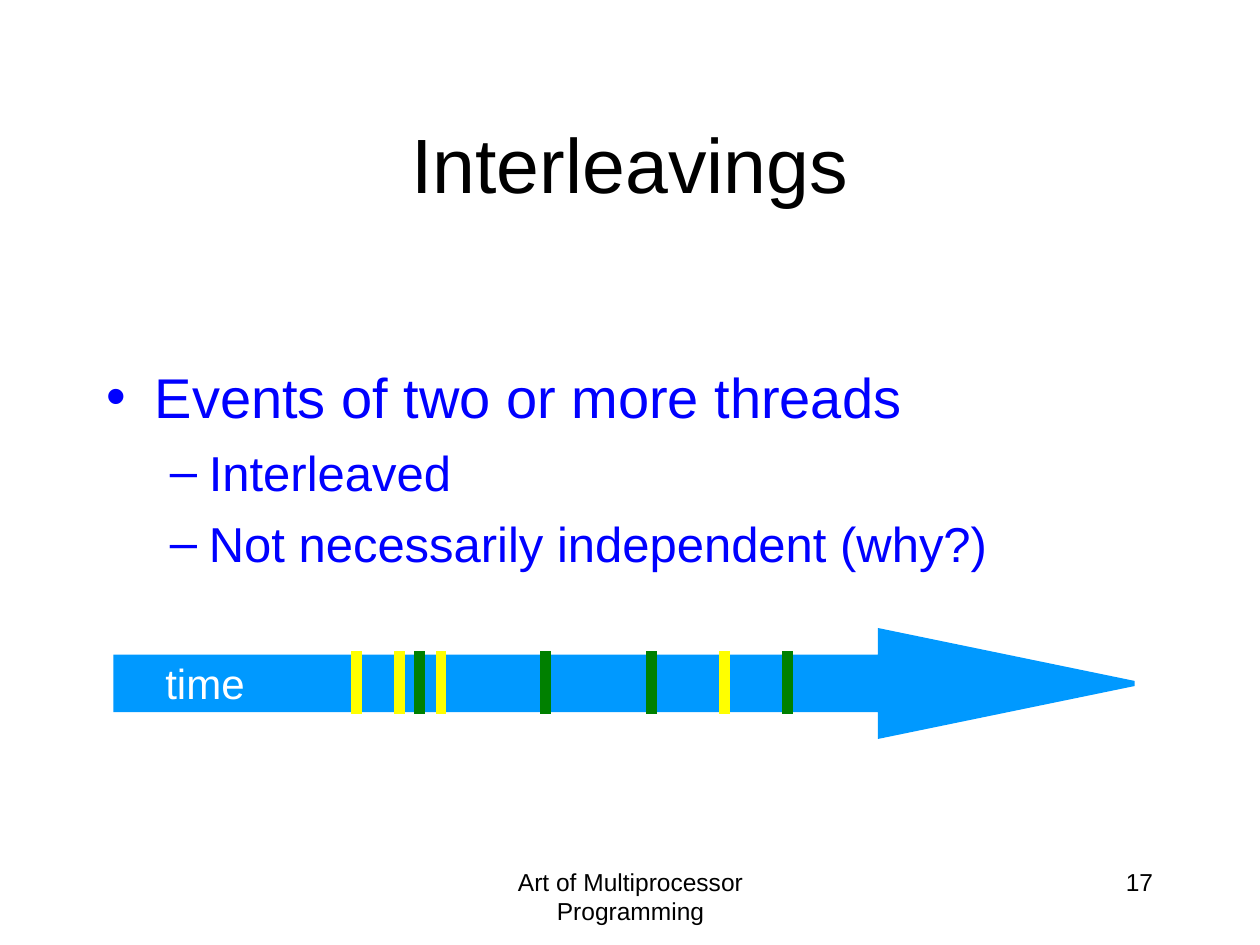
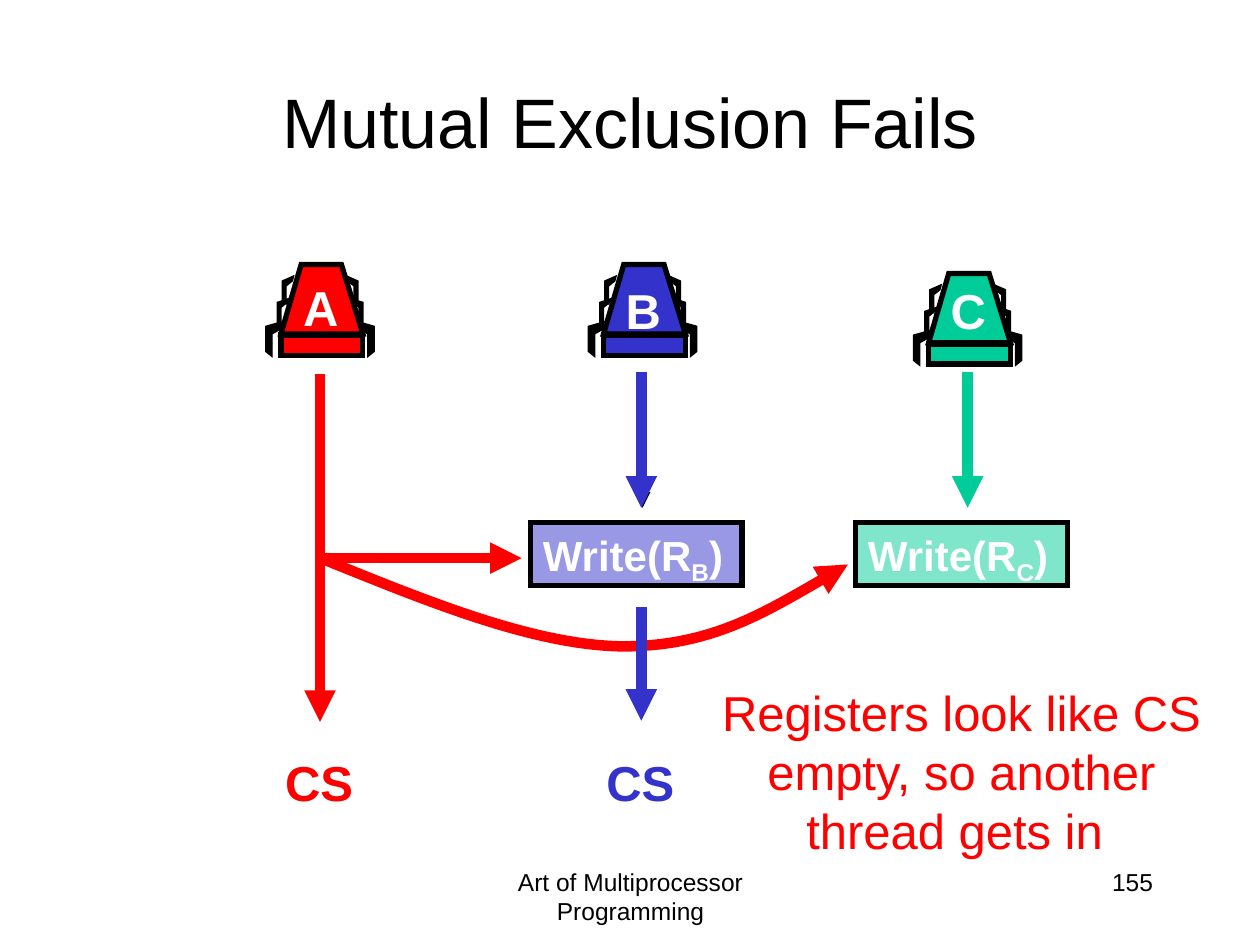
import dataclasses

import lxml.etree
import pptx
import pptx.dml.color
import pptx.enum.dml
import pptx.enum.shapes
import pptx.enum.text
import pptx.oxml.ns
import pptx.util

PX = 9144
ALIGN = pptx.enum.text.PP_ALIGN
ANCHOR = pptx.enum.text.MSO_ANCHOR
SHAPE = pptx.enum.shapes.MSO_SHAPE
qn = pptx.oxml.ns.qn


@dataclasses.dataclass(frozen=True)
class Theme:
    font: str = "Arial"
    black: str = "000000"
    white: str = "FFFFFF"
    body: str = "0000FF"
    time: str = "0099FF"
    yellow: str = "FFFF00"
    green: str = "008000"
    red: str = "FF0000"
    blue: str = "3333CC"
    teal: str = "00CC99"
    title: int = 44
    small_title: int = 40
    bullet: int = 32
    large: int = 28
    medium: int = 24
    footer: int = 14
    hairline: float = 0.75
    outline: int = 3
    stroke: int = 6


T = Theme()
LEGS = [
    [(72, 45), (86, 49), (86, 69), (81, 73), (81, 55), (72, 50)],
    [(68, 27), (77, 30), (77, 46), (74, 48), (74, 34), (69, 30)],
    [(64, 9), (73, 13), (73, 28), (70, 31), (70, 17), (65, 13)],
]
ICON_WIDTH = 86
TORSO = [(12, 55), (28, 0), (60, 0), (77, 55)]


def rgb(color):
    return pptx.dml.color.RGBColor.from_string(color)


def apply(obj, values):
    for name, value in values.items():
        setattr(obj, name, value)


def sub(parent, tag, **attrs):
    return lxml.etree.SubElement(parent, qn(tag), attrs)


class Deck:
    def __init__(self):
        self.prs = pptx.Presentation()
        apply(self.prs, {"slide_width": 1000 * PX, "slide_height": 750 * PX})
        self.s = None

    def slide(self, title, top, size, number):
        self.s = self.prs.slides.add_slide(self.prs.slide_layouts[5])
        sp = self.s.shapes.title
        box = {"left": 75, "top": top, "width": 850, "height": 125}
        apply(sp, {name: value * PX for name, value in box.items()})
        self.frame(sp, anchor=ANCHOR.MIDDLE)
        self.runs(sp, [title], size, T.black, ALIGN.CENTER)
        self.text((342, 683, 317, 50), "Art of Multiprocessor Programming",
                  T.footer, T.black, ALIGN.CENTER)
        self.text((717, 683, 208, 50), str(number), T.footer, T.black, ALIGN.RIGHT)

    def frame(self, sp, wrap=True, anchor=ANCHOR.TOP):
        apply(sp.text_frame, {
            "word_wrap": wrap,
            "vertical_anchor": anchor,
            "auto_size": pptx.enum.text.MSO_AUTO_SIZE.NONE,
        })

    def run(self, p, text, size, color, bold=False):
        r = p.add_run()
        r.text = text
        apply(r.font, {"name": T.font, "size": pptx.util.Pt(size), "bold": bold})
        r.font.color.rgb = rgb(color)
        return r

    def runs(self, sp, texts, size, color, align=ALIGN.LEFT, bold=False):
        p = sp.text_frame.paragraphs[0]
        p.alignment = align
        return [self.run(p, text, size, color, bold) for text in texts]

    def text(self, box, text, size, color, align, bold=False, wrap=True):
        sp = self.s.shapes.add_textbox(*(v * PX for v in box))
        self.frame(sp, wrap)
        self.runs(sp, [text], size, color, align, bold)

    def bullets(self, box, items):
        sp = self.s.shapes.add_textbox(*(v * PX for v in box))
        self.frame(sp)
        tf = sp.text_frame
        styles = [("•", 38, 38, T.bullet), ("–", 81, 31, T.large)]
        for i, (level, text) in enumerate(items):
            mark, margin, hang, size = styles[level]
            p = tf.add_paragraph() if i else tf.paragraphs[0]
            apply(p, {"level": level, "space_before": pptx.util.Pt(7 if i else 0)})
            pPr = p._p.get_or_add_pPr()
            pPr.set("marL", str(margin * PX))
            pPr.set("indent", str(-hang * PX))
            sub(pPr, "a:buFont", typeface=T.font)
            sub(pPr, "a:buChar", char=mark)
            self.run(p, text, size, T.body)

    def stroke(self, sp, color, width, arrow=False, dash=False):
        sp.line.color.rgb = rgb(color)
        sp.line.width = pptx.util.Pt(width)
        if dash:
            sp.line.dash_style = pptx.enum.dml.MSO_LINE.DASH
        ln = sp.line._get_or_add_ln()
        sub(ln, "a:miter", lim="800000")
        if arrow:
            sub(ln, "a:tailEnd", type="triangle")

    def paint(self, sp, fill, line, width):
        sp.shadow.inherit = False
        sp.fill.solid()
        sp.fill.fore_color.rgb = rgb(fill)
        self.stroke(sp, line, width)
        return sp

    def shape(self, kind, box, fill, line=T.black, alpha=None):
        sp = self.s.shapes.add_shape(kind, *(v * PX for v in box))
        self.paint(sp, fill, line, T.outline)
        if alpha:
            color = sp.element.spPr.find(qn("a:solidFill")).find(qn("a:srgbClr"))
            sub(color, "a:alpha", val=str(alpha * 1000))
        return sp

    def outline(self, points, closed=True):
        fb = self.s.shapes.build_freeform(*points[0], scale=PX)
        fb.add_line_segments(points[1:], close=closed)
        return fb.convert_to_shape()

    def polygon(self, points, fill, width):
        self.paint(self.outline(points), fill, T.black, width)

    def curve(self, points, color):
        sp = self.outline(points, closed=False)
        sp.shadow.inherit = False
        sp.fill.background()
        self.stroke(sp, color, T.stroke, arrow=True)
        segments = list(sp.element.iter(qn("a:lnTo")))
        for i in range(0, len(segments), 3):
            bezier = sub(segments[i].getparent(), "a:cubicBezTo")
            for segment in segments[i:i + 3]:
                bezier.append(segment[0])
                segment.getparent().remove(segment)

    def line(self, start, end, color, width=T.stroke, arrow=True, dash=False):
        kind = pptx.enum.shapes.MSO_CONNECTOR.STRAIGHT
        c = self.s.shapes.add_connector(kind, *(v * PX for v in start + end))
        self.stroke(c, color, width, arrow, dash)
        sub(c.element.spPr, "a:effectLst")

    def thread(self, x, y, name, color, label_top):
        for leg in LEGS:
            mirrored = [(ICON_WIDTH - px, py) for px, py in leg]
            for side in (leg, mirrored):
                self.polygon([(x + px, y + py) for px, py in side], T.black, T.hairline)
        self.polygon([(x + px, y + py) for px, py in TORSO], color, T.outline)
        self.shape(SHAPE.RECTANGLE, (x + 12, y + 56, 65, 16), color)
        self.text((x + 19, label_top, 49, 57), name, T.large, T.white,
                  ALIGN.CENTER, bold=True, wrap=False)

    def register(self, x, name, color):
        sp = self.shape(SHAPE.RECTANGLE, (x, 415, 168, 50), color, alpha=50)
        self.frame(sp, wrap=False)
        runs = self.runs(sp, ["Write(R", name, ")"], T.medium, T.white, bold=True)
        runs[1]._r.get_or_add_rPr().set("baseline", "-25000")

    def critical_section(self, x, color):
        self.text((x, 592, 75, 57), "CS", T.large, color, ALIGN.RIGHT,
                  bold=True, wrap=False)


def interleavings(deck):
    deck.slide("Interleavings", 67, T.title, 17)
    arrow = deck.shape(SHAPE.RIGHT_ARROW, (92, 501, 808, 83), T.time, T.time)
    arrow.adjustments[0] = 0.5
    arrow.adjustments[1] = 2.425
    deck.text((120, 517, 84, 51), "time", T.medium, T.white, ALIGN.RIGHT, wrap=False)
    events = {T.yellow: (283, 317, 350, 575), T.green: (333, 433, 517, 625)}
    for color, places in events.items():
        for x in places:
            deck.line((x, 517), (x, 567), color, arrow=False)
    deck.bullets((75, 283, 850, 384), [
        (0, "Events of two or more threads"),
        (1, "Interleaved"),
        (1, "Not necessarily independent (why?)"),
    ])


def mutual_exclusion(deck):
    deck.slide("Mutual Exclusion Fails", 33, T.small_title, 155)
    deck.register(421, "B", T.blue)
    deck.register(679, "C", T.teal)
    deck.thread(211, 210, "A", T.red, 215)
    deck.thread(467, 210, "B", T.blue, 218)
    deck.thread(725, 217, "C", T.teal, 218)
    deck.line((510, 295), (510, 403), T.black, T.outline, dash=True)
    deck.line((509, 295), (509, 403), T.blue)
    deck.line((768, 295), (768, 403), T.teal)
    deck.curve([(257, 444), (341, 478), (424, 512), (494, 513),
                (563, 513), (618, 480), (673, 448)], T.red)
    deck.line((254, 297), (254, 573), T.red)
    deck.line((254, 443), (414, 443), T.red)
    deck.line((509, 482), (509, 572), T.blue)
    deck.critical_section(215, T.red)
    deck.critical_section(470, T.blue)
    deck.text((558, 537, 410, 151),
              "Registers look like CS empty, so another thread gets in ",
              T.large, T.red, ALIGN.CENTER)


def main():
    deck = Deck()
    interleavings(deck)
    mutual_exclusion(deck)
    deck.prs.save("out.pptx")


if __name__ == "__main__":
    main()
